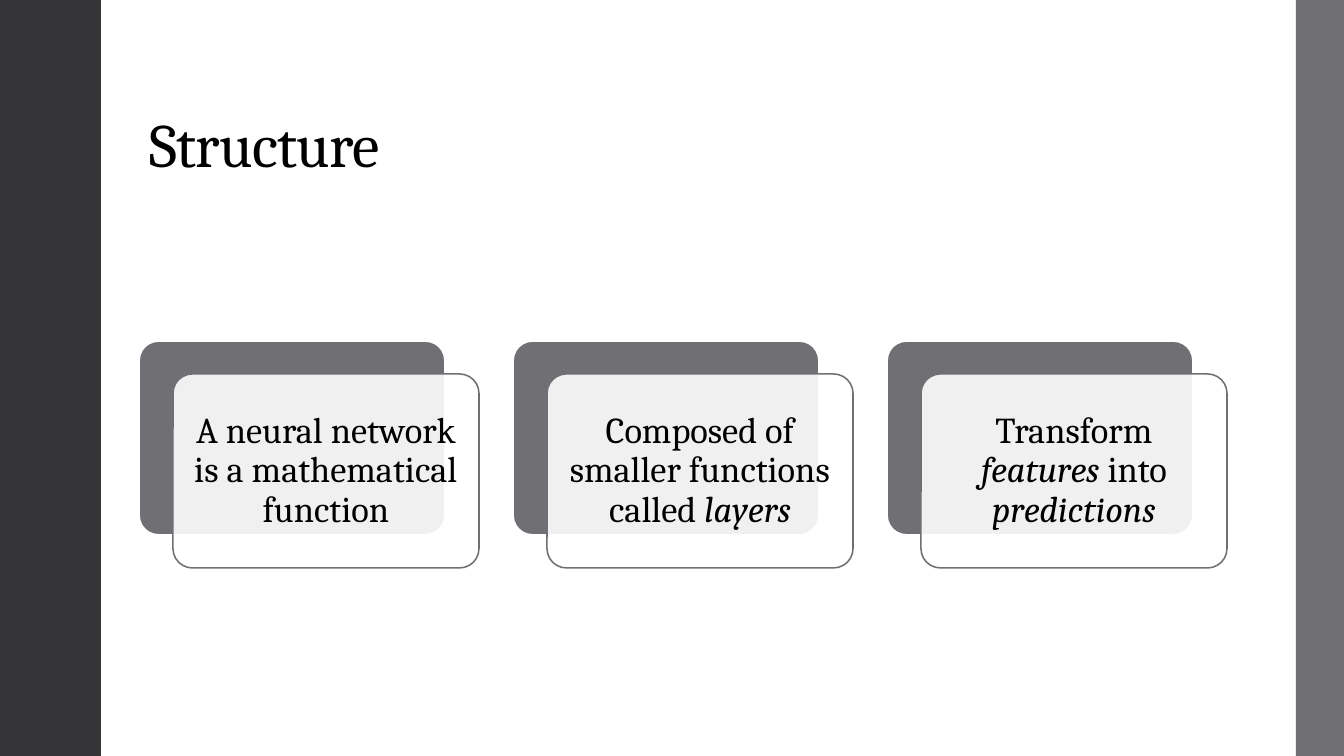
from pptx import Presentation
from pptx.dml.color import RGBColor
from pptx.enum.shapes import MSO_SHAPE
from pptx.enum.text import MSO_ANCHOR, MSO_AUTO_SIZE, PP_ALIGN
from pptx.oxml.ns import qn
from pptx.util import Pt
from lxml.etree import SubElement

SCALE = 914400 / 100.8
WIDTH, HEIGHT = 1344, 756
DARK, GREY, WHITE, BLACK = "353537", "6F6F74", "FFFFFF", "000000"


def emu(pixels):
    return round(pixels * SCALE)


def color(code):
    return RGBColor.from_string(code)


class SlideBuilder:
    """Draws styled elements on the current slide."""

    font = "Cambria"

    def __init__(self, page):
        self.page = page

    def fill_text(self, frame, spans, size, align, anchor, inset):
        frame.word_wrap = True
        frame.auto_size = MSO_AUTO_SIZE.NONE
        frame.vertical_anchor = anchor
        frame.margin_left = frame.margin_right = emu(inset)
        frame.margin_top = frame.margin_bottom = emu(inset / 2)
        para = frame.paragraphs[0]
        para.alignment = align
        para.line_spacing = 0.9
        para.font.name = self.font
        para.font.size = Pt(size)
        para.font.color.rgb = color(BLACK)
        for text, italic in spans:
            span = para.add_run()
            span.text = text
            if italic:
                span.font.italic = True
        return para

    def title(self, text, left, top, width, height):
        box = self.page.shapes.title
        box.left, box.top, box.width, box.height = map(emu, (left, top, width, height))
        para = self.fill_text(box.text_frame, [(text, False)], 44,
                              PP_ALIGN.LEFT, MSO_ANCHOR.BOTTOM, 10)
        para.runs[0].font._element.set("spc", "-50")

    def shape(self, kind, left, top, width, height, fill, line=None, weight=1):
        box = self.page.shapes.add_shape(kind, *map(emu, (left, top, width, height)))
        box.shadow.inherit = False
        box.fill.solid()
        box.fill.fore_color.rgb = color(fill)
        if line:
            box.line.color.rgb = color(line)
            box.line.width = Pt(weight)
        else:
            box.line.fill.background()
        return box

    def band(self, left, width, fill):
        self.shape(MSO_SHAPE.RECTANGLE, left, 0, width, HEIGHT, fill)

    def card(self, spans, left, top, width, height, offset):
        back = self.shape(MSO_SHAPE.ROUNDED_RECTANGLE, left, top,
                          width, height, GREY, WHITE, 1.35)
        front = self.shape(MSO_SHAPE.ROUNDED_RECTANGLE, left + offset, top + offset - 1,
                           width, height, WHITE, GREY, 1.1)
        for box in (back, front):
            box.adjustments[0] = 0.1
        fill_color = front._element.spPr.find(qn("a:solidFill"))[0]
        SubElement(fill_color, qn("a:alpha")).set("val", "90000")
        self.fill_text(front.text_frame, spans, 26,
                       PP_ALIGN.CENTER, MSO_ANCHOR.MIDDLE, 11)


deck = Presentation()
deck.slide_width, deck.slide_height = emu(WIDTH), emu(HEIGHT)
builder = SlideBuilder(deck.slides.add_slide(deck.slide_layouts[5]))

builder.title("Structure", 139, 40, 1087, 146)
builder.band(0, 101, DARK)
builder.band(1296, 48, GREY)

cards = [
    [("A neural network is a mathematical function", False)],
    [("Composed of smaller functions called ", False), ("layers", True)],
    [("Transform ", False), ("features", True), (" into ", False), ("predictions", True)],
]
for index, spans in enumerate(cards):
    builder.card(spans, 139 + index * 374, 341, 306, 194, 34)

deck.save("out.pptx")
